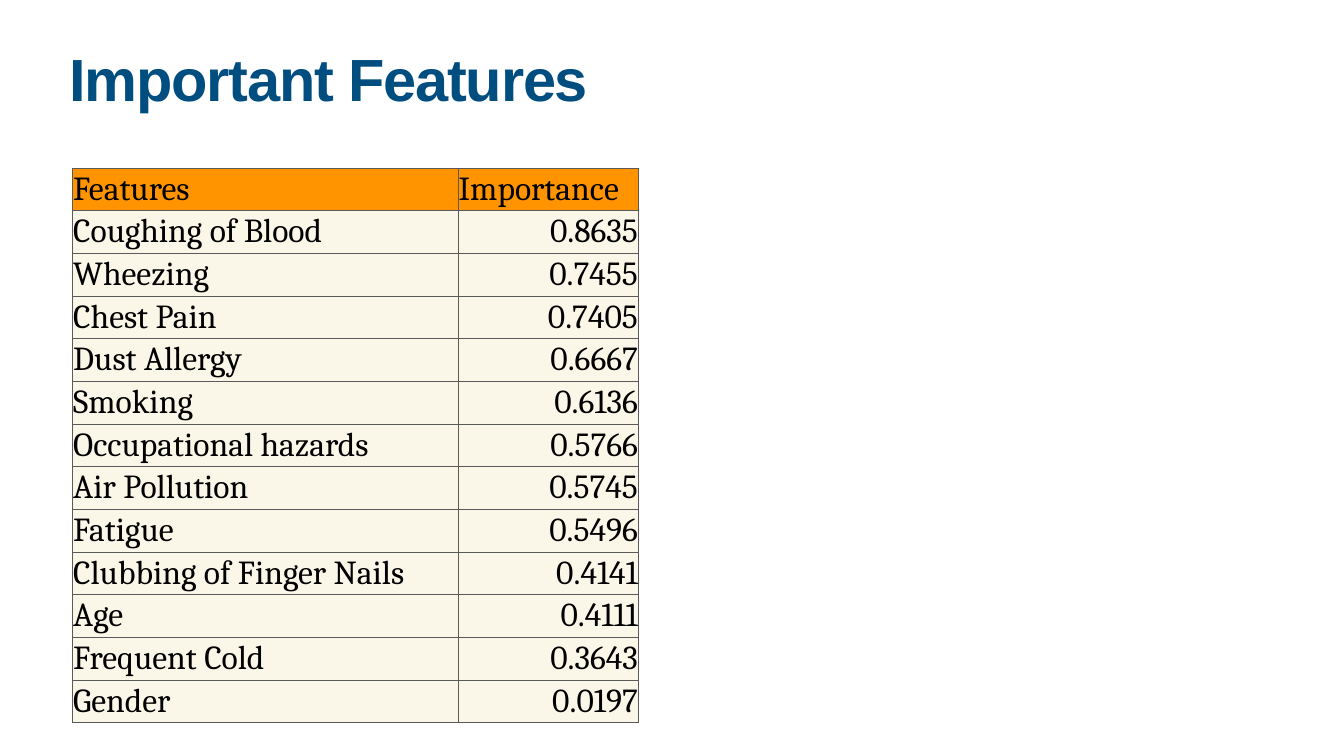
"""Build the slide that ranks features by importance."""
import dataclasses

import pptx
import pptx.dml.color
import pptx.enum.text
import pptx.oxml
import pptx.oxml.ns
import pptx.util
from pptx.util import Cm


@dataclasses.dataclass(frozen=True)
class Theme:
    title_color: str = "004D80"
    text_color: str = "000000"
    header_fill: str = "FF9400"
    body_fill: str = "FAF7E9"
    border_color: str = "5B5A5A"
    title_font: str = "Arial"
    table_font: str = "Cambria"
    title_size: int = 85
    table_size: int = 48
    title_tracking: float = -1.7
    border_width: int = 1


def rgb(value):
    return pptx.dml.color.RGBColor.from_string(value)


class SlideBuilder:
    def __init__(self, slide, theme):
        self.slide = slide
        self.theme = theme

    def format_run(self, run, font, size, color, bold=False):
        run.font.name = font
        run.font.size = pptx.util.Pt(size)
        run.font.color.rgb = rgb(color)
        run.font.bold = bold

    def add_title(self, text, left, top, width, height):
        theme = self.theme
        text_frame = self.slide.shapes.add_textbox(left, top, width, height).text_frame
        text_frame.word_wrap = True
        text_frame.margin_left = text_frame.margin_right = Cm(0.15)
        text_frame.margin_top = text_frame.margin_bottom = Cm(0.15)
        text_frame.text = text
        paragraph = text_frame.paragraphs[0]
        paragraph.line_spacing = 0.8
        run = paragraph.runs[0]
        self.format_run(run, theme.title_font, theme.title_size, theme.title_color, True)
        run._r.get_or_add_rPr().set("spc", str(round(theme.title_tracking * 100)))

    def add_borders(self, cell):
        properties = cell._tc.get_or_add_tcPr()
        width = pptx.util.Pt(self.theme.border_width)
        for position, side in enumerate(("lnL", "lnR", "lnT", "lnB")):
            border = pptx.oxml.parse_xml(
                f'<a:{side} {pptx.oxml.ns.nsdecls("a")} w="{width}"><a:solidFill>'
                f'<a:srgbClr val="{self.theme.border_color}"/></a:solidFill></a:{side}>'
            )
            properties.insert(position, border)

    def fill_cell(self, cell, text, fill, alignment):
        theme = self.theme
        cell.fill.solid()
        cell.fill.fore_color.rgb = rgb(fill)
        cell.vertical_anchor = pptx.enum.text.MSO_ANCHOR.MIDDLE
        cell.margin_left = cell.margin_right = Cm(0.03)
        cell.margin_top = cell.margin_bottom = Cm(0.03)
        cell.text_frame.text = text
        paragraph = cell.text_frame.paragraphs[0]
        paragraph.alignment = alignment
        self.format_run(paragraph.runs[0], theme.table_font, theme.table_size, theme.text_color)
        self.add_borders(cell)

    def add_table(self, rows, left, top, column_widths, row_height):
        align = pptx.enum.text.PP_ALIGN
        table = self.slide.shapes.add_table(
            len(rows), len(column_widths), left, top,
            sum(column_widths), row_height * len(rows),
        ).table
        for column, width in zip(table.columns, column_widths):
            column.width = width
        for row_index, row in enumerate(rows):
            is_header = row_index == 0
            fill = self.theme.header_fill if is_header else self.theme.body_fill
            for column_index, text in enumerate(row):
                is_value = column_index > 0 and not is_header
                alignment = align.RIGHT if is_value else align.LEFT
                self.fill_cell(table.cell(row_index, column_index), text, fill, alignment)


FEATURE_ROWS = [
    ("Features", "Importance"),
    ("Coughing of Blood", "0.8635"),
    ("Wheezing", "0.7455"),
    ("Chest Pain", "0.7405"),
    ("Dust Allergy", "0.6667"),
    ("Smoking", "0.6136"),
    ("Occupational hazards", "0.5766"),
    ("Air Pollution", "0.5745"),
    ("Fatigue", "0.5496"),
    ("Clubbing of Finger Nails", "0.4141"),
    ("Age", "0.4111"),
    ("Frequent Cold", "0.3643"),
    ("Gender", "0.0197"),
]


def main():
    presentation = pptx.Presentation()
    presentation.slide_width = Cm(67.74)
    presentation.slide_height = Cm(38.1)
    slide = presentation.slides.add_slide(presentation.slide_layouts[6])
    builder = SlideBuilder(slide, Theme())
    builder.add_table(FEATURE_ROWS, Cm(3.66), Cm(8.46), (Cm(19.43), Cm(9.09)), Cm(2.15))
    builder.add_title("Important Features", Cm(3.35), Cm(2.64), Cm(29.11), Cm(3.99))
    presentation.save("out.pptx")


if __name__ == "__main__":
    main()
